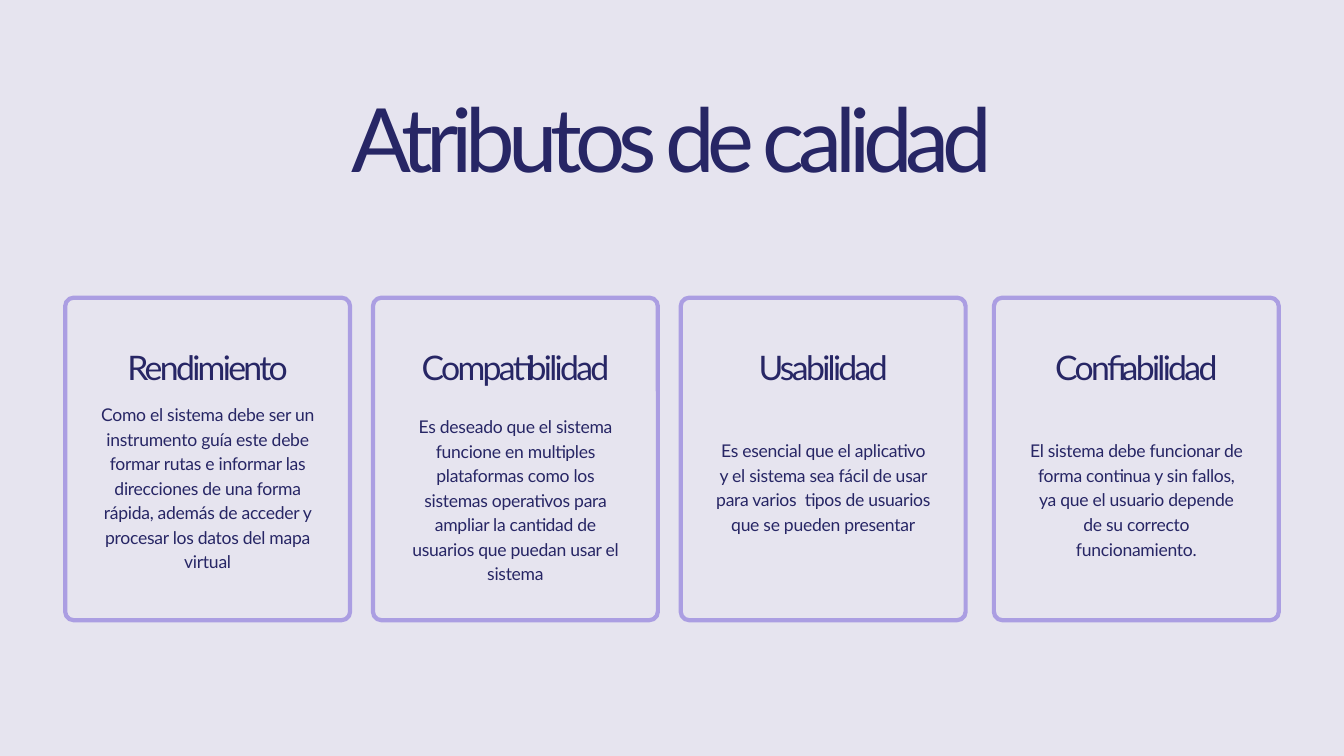
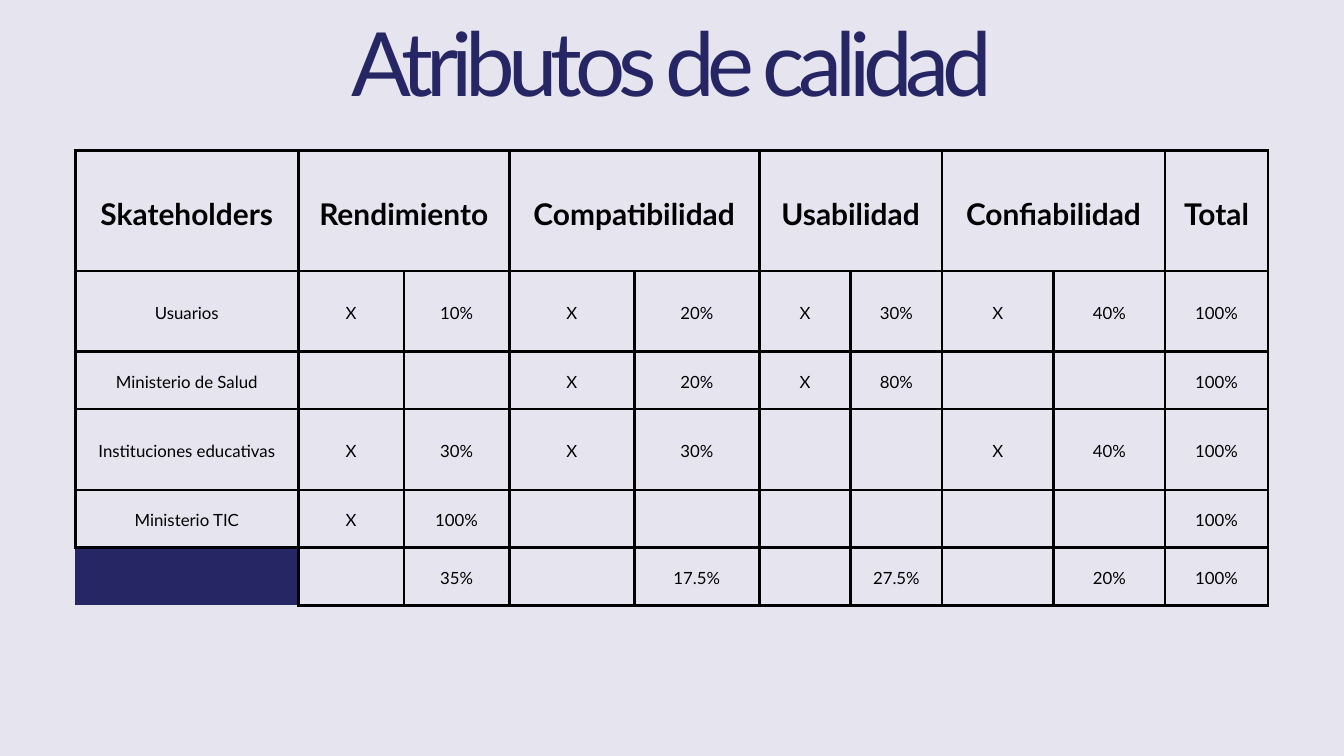
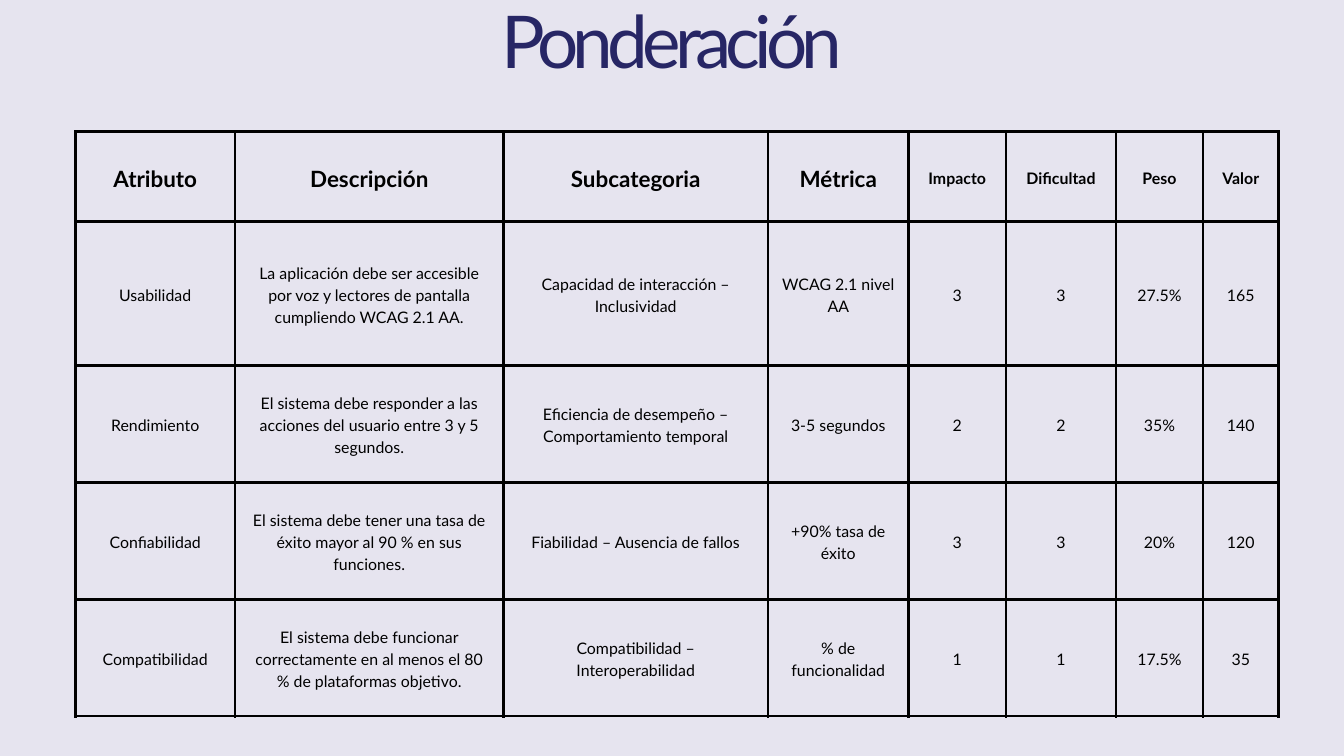
from pptx import Presentation
from pptx.dml.color import RGBColor
from pptx.enum.shapes import MSO_SHAPE as Shape
from pptx.enum.text import MSO_ANCHOR as Anchor, MSO_AUTO_SIZE as Fit, PP_ALIGN as Align
from pptx.oxml import parse_xml
from pptx.oxml.ns import nsdecls, qn
from pptx.util import Inches, Pt

NAVY = RGBColor(0x27, 0x26, 0x65)
LILAC = RGBColor(0xAB, 0x9E, 0xE2)
MIST = RGBColor(0xE6, 0xE4, 0xEF)
BLACK = RGBColor(0, 0, 0)
FONT = "Lato"
TIGHT = -0.08  # heading letter spacing, as a share of the font size

CARD_W, CARD_H, CARD_TOP = 4.24, 4.8, 4.43
CARDS = [  # left, top of the text, heading, text
    (0.97, 5.96, "Rendimiento",
     "Como el sistema debe ser un instrumento guía este debe formar rutas e informar "
     "las direcciones de una forma rápida, además de acceder y procesar los datos del "
     "mapa virtual"),
    (5.55, 6.14, "Compatibilidad",
     "Es deseado que el sistema funcione en multiples plataformas como los sistemas "
     "operativos para ampliar la cantidad de usuarios que puedan usar el sistema"),
    (10.13, 6.5, "Usabilidad",
     "Es esencial que el aplicativo y el sistema sea fácil de usar para varios  tipos "
     "de usuarios que se pueden presentar"),
    (14.79, 6.5, "Confiabilidad",
     "El sistema debe funcionar de forma continua y sin fallos, ya que el usuario "
     "depende de su correcto funcionamiento."),
]

SHARE_COLS = [3.32, 1.57, 1.57, 1.86, 1.86, 1.36, 1.36, 1.66, 1.66, 1.53]
SHARE_ROWS = [1.79, 1.2, 0.86, 1.2, 0.86, 0.86]
SHARES = [
    ["Skateholders", "Rendimiento", "", "Compatibilidad", "", "Usabilidad", "",
     "Confiabilidad", "", "Total"],
    ["Usuarios", "X", "10%", "X", "20%", "X", "30%", "X", "40%", "100%"],
    ["Ministerio de Salud", "", "", "X", "20%", "X", "80%", "", "", "100%"],
    ["Instituciones educativas", "X", "30%", "X", "30%", "", "", "X", "40%", "100%"],
    ["Ministerio TIC", "X", "100%", "", "", "", "", "", "", "100%"],
    ["", "", "35%", "", "17.5%", "", "27.5%", "", "20%", "100%"],
]

WEIGHT_COLS = [2.38, 3.99, 3.94, 2.09, 1.45, 1.64, 1.29, 1.13]
WEIGHT_ROWS = [1.34, 2.14, 1.74, 1.74, 1.74]
WEIGHTS = [
    ["Atributo", "Descripción", "Subcategoria", "Métrica", "Impacto", "Dificultad",
     "Peso", "Valor"],
    ["Usabilidad",
     "La aplicación debe ser accesible por voz y lectores de pantalla cumpliendo WCAG 2.1 AA.",
     "Capacidad de interacción – Inclusividad", "WCAG 2.1 nivel AA",
     "3", "3", "27.5%", "165"],
    ["Rendimiento",
     "El sistema debe responder a las acciones del usuario entre 3 y 5 segundos.",
     "Eficiencia de desempeño – Comportamiento temporal", "3-5 segundos",
     "2", "2", "35%", "140"],
    ["Confiabilidad",
     "El sistema debe tener una tasa de éxito mayor al 90 % en sus funciones.",
     "Fiabilidad – Ausencia de fallos", "+90% tasa de éxito",
     "3", "3", "20%", "120"],
    ["Compatibilidad",
     "El sistema debe funcionar correctamente en al menos el 80 % de plataformas objetivo.",
     "Compatibilidad – Interoperabilidad", "% de funcionalidad",
     "1", "1", "17.5%", "35"],
]


def write(frame, text, size, color, lead=1.4, track=0, bold=False):
    """Fill a frame with one centred paragraph; lead and track are shares of size."""
    para = frame.paragraphs[0]
    para.text = text
    para.alignment = Align.CENTER
    para.line_spacing = Pt(round(lead * size, 1))
    font = para.font
    font.name, font.size, font.bold = FONT, Pt(size), bold
    font.color.rgb = color
    if track:
        props = para._p.pPr.find(qn("a:defRPr"))
        props.set("spc", str(round(track * size * 100)))


def clear(frame):
    """Make a frame wrap, start at its top and have no margins."""
    frame.margin_left = frame.margin_right = frame.margin_top = frame.margin_bottom = 0
    frame.word_wrap = True
    frame.auto_size = Fit.NONE
    frame.vertical_anchor = Anchor.TOP


def add_slide(deck, title, top, size):
    slide = deck.slides.add_slide(deck.slide_layouts[5])
    head = slide.shapes.title
    head.left, head.top = Inches(1.79), Inches(top)
    head.width, head.height = Inches(16.42), Inches(1.35)
    clear(head.text_frame)
    write(head.text_frame, title, size, NAVY, 0.96, TIGHT)
    return slide


def add_text(slide, left, top, width, height, text, size, **style):
    box = slide.shapes.add_textbox(Inches(left), Inches(top), Inches(width), Inches(height))
    clear(box.text_frame)
    write(box.text_frame, text, size, NAVY, **style)


def add_card(slide, left, top, head, text):
    card = slide.shapes.add_shape(Shape.ROUNDED_RECTANGLE, Inches(left), Inches(CARD_TOP),
                                  Inches(CARD_W), Inches(CARD_H))
    card.adjustments[0] = 0.03
    card.shadow.inherit = False
    card.fill.background()
    card.line.color.rgb = LILAC
    card.line.width = Pt(4.5)
    for width, height, y, words, size, style in [
        (3, 0.52, 5.28, head, 36.2, {"lead": 0.96, "track": TIGHT}),
        (3.19, 2.51, top, text, 18.8, {"track": -0.016}),
    ]:
        add_text(slide, left + (CARD_W - width) / 2, y, width, height, words, size, **style)


def set_edges(cell, hidden=""):
    """Draw black borders, save for the sides named in hidden."""
    props = cell._tc.get_or_add_tcPr()
    for side in "LRTB":
        fill = ("<a:noFill/>" if side in hidden else
                f'<a:solidFill><a:srgbClr val="{BLACK}"/></a:solidFill>')
        props.append(parse_xml(
            f'<a:ln{side} {nsdecls("a")} w="{Pt(3)}">{fill}</a:ln{side}>'))


def add_grid(slide, top, cols, rows, data, heads, size):
    """Add a table; heads holds the font size of each header cell."""
    grid = slide.shapes.add_table(len(rows), len(cols), Inches(1.12), Inches(top),
                                  Inches(sum(cols)), Inches(sum(rows))).table
    grid.first_row = grid.horz_banding = False
    for col, width in zip(grid.columns, cols):
        col.width = Inches(width)
    for row, height in zip(grid.rows, rows):
        row.height = Inches(height)
    last = len(rows) - 1
    for r, line in enumerate(data):
        for c, text in enumerate(line):
            cell = grid.cell(r, c)
            cell.margin_left = cell.margin_right = Inches(0.21)
            cell.margin_top = cell.margin_bottom = Inches(0.21)
            cell.vertical_anchor = Anchor.MIDDLE
            write(cell.text_frame, text, size if r else heads[c], BLACK, bold=r == 0)
            blank = r == last and c == 0 and not text
            set_edges(cell, "LB" if blank else "")
            if blank:
                cell.fill.solid()
                cell.fill.fore_color.rgb = NAVY
            else:
                cell.fill.background()
    return grid


def main():
    deck = Presentation()
    deck.slide_width, deck.slide_height = Inches(20), Inches(11.25)
    back = deck.slide_master.background.fill
    back.solid()
    back.fore_color.rgb = MIST

    slide = add_slide(deck, "Atributos de calidad", 1.57, 95)
    for card in CARDS:
        add_card(slide, *card)

    slide = add_slide(deck, "Atributos de calidad", 0.43, 95)
    grid = add_grid(slide, 2.24, SHARE_COLS, SHARE_ROWS, SHARES, [32] * 10, 18)
    for c in range(1, 9, 2):
        grid.cell(0, c).merge(grid.cell(0, c + 1))

    slide = add_slide(deck, "Ponderación", 0.19, 78)
    add_grid(slide, 1.96, WEIGHT_COLS, WEIGHT_ROWS, WEIGHTS, [24] * 4 + [17] * 4, 17)

    deck.save("out.pptx")


if __name__ == "__main__":
    main()
